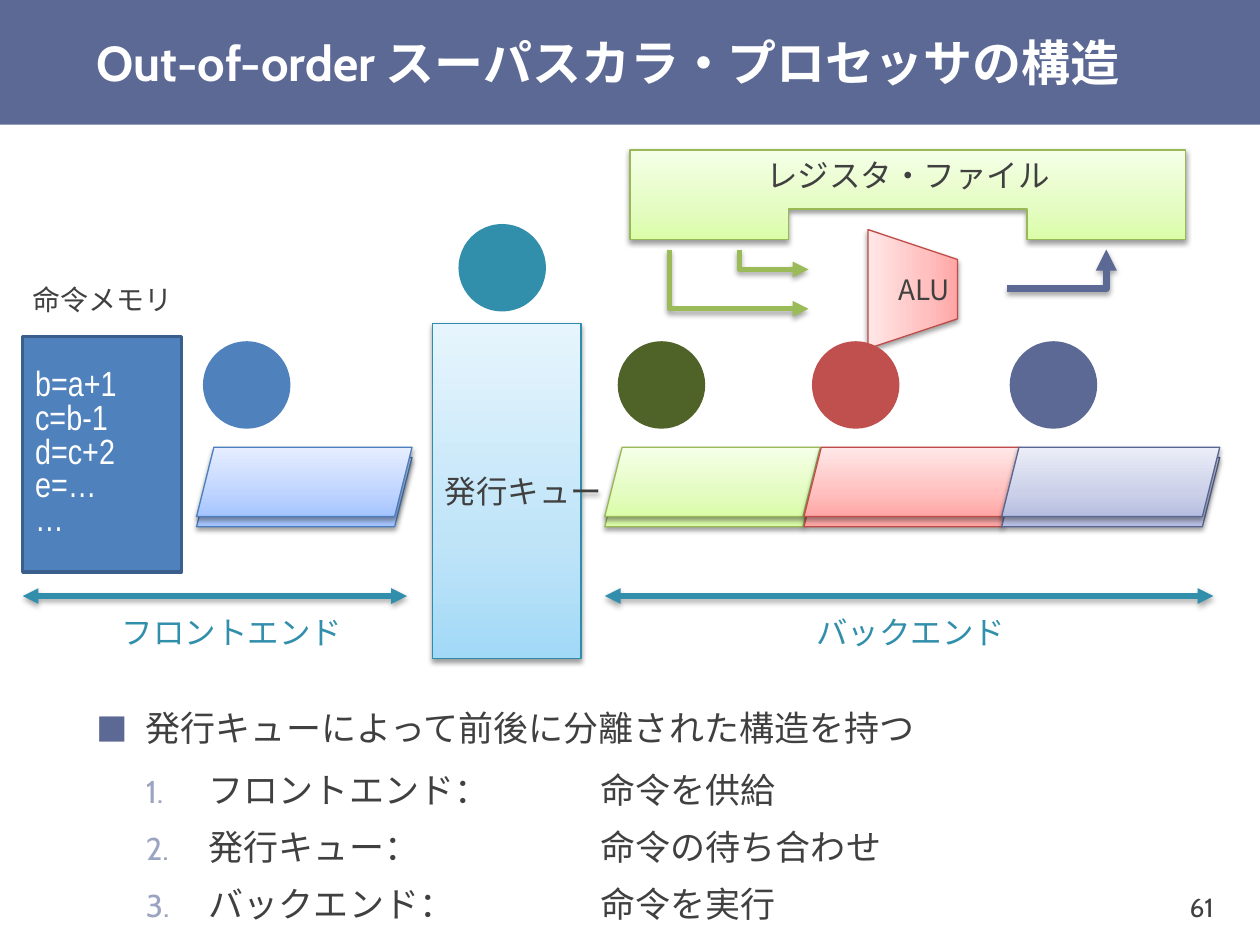
from dataclasses import dataclass

from lxml import etree
from pptx import Presentation
from pptx.dml.color import RGBColor
from pptx.enum.shapes import MSO_CONNECTOR, MSO_SHAPE
from pptx.enum.text import MSO_ANCHOR, PP_ALIGN
from pptx.oxml import parse_xml
from pptx.oxml.ns import nsdecls, qn
from pptx.util import Pt

RECT = MSO_SHAPE.RECTANGLE
SLANT = MSO_SHAPE.PARALLELOGRAM
OVAL = MSO_SHAPE.OVAL
STRAIGHT = MSO_CONNECTOR.STRAIGHT
TOP, MID = MSO_ANCHOR.TOP, MSO_ANCHOR.MIDDLE
LEFT, CENTER, RIGHT = PP_ALIGN.LEFT, PP_ALIGN.CENTER, PP_ALIGN.RIGHT

WHITE = RGBColor(0xFF, 0xFF, 0xFF)
INK = RGBColor(0x40, 0x40, 0x40)
NAVY = RGBColor(0x5C, 0x69, 0x94)
PALE = RGBColor(0x9B, 0xA4, 0xC1)
BLUE = RGBColor(0x4F, 0x81, 0xBD)
EDGE = RGBColor(0x3A, 0x5F, 0x8C)
TEAL = RGBColor(0x32, 0x8F, 0xAC)
LEAF = RGBColor(0x9B, 0xBB, 0x59)
MOSS = RGBColor(0x4F, 0x62, 0x28)
BRICK = RGBColor(0xC0, 0x50, 0x4D)

CABIN, NOTO, THIN = "Cabin", "Noto Sans CJK JP", "Arial Narrow"


@dataclass(frozen=True)
class Tone:
    stops: tuple[str, str, str]
    line: RGBColor


@dataclass(frozen=True)
class Type:
    font: str
    size: float
    tint: RGBColor
    bold: bool = False


@dataclass(frozen=True)
class Token:
    left: float
    top: float
    tint: RGBColor


@dataclass(frozen=True)
class Stage:
    left: float
    wide: float
    tone: Tone


@dataclass(frozen=True)
class Bend:
    dots: tuple[tuple[float, float], ...]
    tint: RGBColor
    width: float


@dataclass(frozen=True)
class Span:
    start: float
    end: float
    left: float
    label: str


SKY = Tone(("A4C4FF", "BFD4FF", "E6EEFF"), RGBColor(0x4B, 0x7E, 0xBC))
LIME = Tone(("DAFDA7", "E4FCC2", "F5FFE7"), RGBColor(0x98, 0xB9, 0x55))
ROSE = Tone(("FFA6A5", "FFC0BF", "FFE7E7"), RGBColor(0xBF, 0x4C, 0x48))
MAUVE = Tone(("B6BEE1", "CCD1E9", "EBEDF7"), RGBColor(0x59, 0x66, 0x92))
AQUA = Tone(("A2D9F7", "BFE4F8", "E6F5FD"), RGBColor(0x2E, 0x8D, 0xAB))

STAGES = (Stage(112.3, 123.1, SKY), Stage(345.6, 123.1, LIME),
          Stage(459.4, 123.1, ROSE), Stage(572.4, 124.6, MAUVE))
TOKENS = (Token(116, 195, BLUE), Token(353, 195, MOSS), Token(464, 195, BRICK),
          Token(577, 195, NAVY), Token(262, 128, TEAL))
BENDS = (Bend(((422.6, 142.6), (422.6, 154), (462, 154)), LEAF, 3),
         Bend(((382.6, 142.6), (382.6, 176.5), (462, 176.5)), LEAF, 3),
         Bend(((575.5, 165), (632.2, 165), (632.2, 142.6)), NAVY, 4))
SPANS = (Span(232.6, 13, 62.6, "フロントエンド"), Span(693.4, 345.6, 459.4, "バックエンド"))
BANK = ((450.7, 136.8), (450.7, 119.5), (586.8, 119.5), (586.8, 136.8),
        (677.5, 136.8), (677.5, 85.7), (360, 85.7), (360, 136.8))
ALU = ((496, 199.2), (547.2, 182.2), (547.2, 148.3), (496, 131.2))
CODE = ("b=a+1", "c=b-1", "d=c+2", "e=…", "…")
LEAD = "発行キューによって前後に分離された構造を持つ"
STEPS = ("フロントエンド：\t命令を供給", "発行キュー：\t\t命令の待ち合わせ",
         "バックエンド：\t\t命令を実行")


def add_run(para, text: str, kind: Type) -> None:
    run = para.add_run()
    run.text = text
    font = run.font
    font.name, font.size, font.bold = kind.font, Pt(kind.size), kind.bold
    font.color.rgb = kind.tint
    etree.SubElement(font._element, qn("a:ea"), typeface=kind.font)


def write(item, rows: tuple[str, ...], kind: Type, side=LEFT, anchor=MID,
          wrap: bool = False, space: float | None = None):
    frame = item.text_frame
    frame.word_wrap, frame.vertical_anchor = wrap, anchor
    for spot, text in enumerate(rows):
        para = frame.add_paragraph() if spot else frame.paragraphs[0]
        para.alignment, para.line_spacing = side, space
        add_run(para, text, kind)
    return frame


def add_box(slide, left: float, top: float, wide: float, high: float):
    return slide.shapes.add_textbox(Pt(left), Pt(top), Pt(wide), Pt(high))


def add_form(slide, kind, left: float, top: float, wide: float, high: float):
    item = slide.shapes.add_shape(kind, Pt(left), Pt(top), Pt(wide), Pt(high))
    item.shadow.inherit = False
    return item


def paint(item, tint: RGBColor) -> None:
    item.fill.solid()
    item.fill.fore_color.rgb = tint
    item.line.fill.background()


def trace(slide, dots: tuple[tuple[float, float], ...], close: bool):
    pts = [(Pt(x), Pt(y)) for x, y in dots]
    pen = slide.shapes.build_freeform(*pts[0])
    pen.add_line_segments(pts[1:], close=close)
    item = pen.convert_to_shape()
    item.shadow.inherit = False
    return item


def cast(item, alpha: int) -> None:
    props = item._element.spPr
    for old in props.findall(qn("a:effectLst")):
        props.remove(old)
    props.append(parse_xml(
        f'<a:effectLst {nsdecls("a")}><a:outerShdw blurRad="{Pt(3.1)}" '
        f'dist="{Pt(1.7)}" dir="5400000" rotWithShape="0"><a:srgbClr val="000000">'
        f'<a:alpha val="{alpha * 1000}"/></a:srgbClr></a:outerShdw></a:effectLst>'))


def shade(item, tone: Tone, angle: float = 90) -> None:
    item.fill.gradient()
    item.fill.gradient_angle = angle
    stops = item._element.spPr.find(qn("a:gradFill")).find(qn("a:gsLst"))
    stops.clear()
    for place, tint in zip((0, 35, 100), tone.stops):
        stop = etree.SubElement(stops, qn("a:gs"), pos=str(place * 1000))
        etree.SubElement(stop, qn("a:srgbClr"), val=tint)
    item.line.color.rgb, item.line.width = tone.line, Pt(0.75)
    cast(item, 38)


def point(item, tint: RGBColor, width: float, ends: tuple[str, ...]) -> None:
    item.line.color.rgb, item.line.width = tint, Pt(width)
    line = item._element.spPr.find(qn("a:ln"))
    for end in ends:
        etree.SubElement(line, qn(f"a:{end}"), type="triangle")
    cast(item, 35)


def mark(para, left: float, hang: float, tint: RGBColor,
         tag: str, **attrs: str) -> None:
    props = para._p.get_or_add_pPr()
    for key, value in (("marL", Pt(left)), ("indent", Pt(-hang)), ("defTabSz", Pt(72))):
        props.set(key, str(value))
    hue = etree.SubElement(props, qn("a:buClr"))
    etree.SubElement(hue, qn("a:srgbClr"), val=str(tint))
    etree.SubElement(props, qn("a:buSzPct"), val="90000")
    etree.SubElement(props, qn("a:buFont"), typeface=NOTO)
    etree.SubElement(props, qn(f"a:{tag}"), **attrs)


def add_list(slide) -> None:
    frame = write(add_box(slide, 48.2, 440, 652.3, 49.7), (LEAD, *STEPS),
                  Type(CABIN, 20, INK), wrap=True, space=1.1)
    head, *steps = frame.paragraphs
    head.space_after = Pt(6)
    mark(head, 28.1, 28.1, NAVY, "buChar", char="■")
    for para in steps:
        para.level = 1
        para.space_before = para.space_after = Pt(3)
        mark(para, 64.1, 36, PALE, "buAutoNum", type="arabicPeriod")


def main() -> None:
    deck = Presentation()
    deck.slide_width, deck.slide_height = Pt(720), Pt(540)
    slide = deck.slides.add_slide(deck.slide_layouts[6])

    paint(add_form(slide, RECT, 0, 0, 720, 71.3), NAVY)
    write(add_box(slide, 643.7, 496.8, 56.9, 43.2), ("61",),
          Type(CABIN, 15, INK), RIGHT)
    write(add_box(slide, 48.2, 0, 671.8, 71.3),
          ("Out-of-order スーパスカラ・プロセッサの構造",),
          Type(CABIN, 28, WHITE, True), wrap=True)
    add_list(slide)

    for stage in STAGES:
        for top in (261.4, 255.6):
            shade(add_form(slide, SLANT, stage.left, top, stage.wide, 39.6), stage.tone)

    bank = trace(slide, BANK, True)
    shade(bank, LIME)
    write(bank, ("レジスタ・ファイル",), Type(CABIN, 18, INK), CENTER, TOP, True)
    unit = trace(slide, ALU, True)
    shade(unit, ROSE, 180)
    frame = write(unit, ("ALU",), Type(NOTO, 16, INK), CENTER)
    frame.margin_left, frame.margin_right = Pt(13), Pt(0)
    for bend in BENDS:
        item = trace(slide, bend.dots, False)
        item.fill.background()
        point(item, bend.tint, bend.width, ("tailEnd",))

    queue = add_form(slide, RECT, 247, 185, 85, 191.5)
    shade(queue, AQUA)
    write(queue, ("発行キュー",), Type(NOTO, 18, INK))
    write(add_box(slide, 3.6, 149.8, 110, 42.5), ("命令メモリ",),
          Type(CABIN, 16, INK), CENTER)
    store = add_form(slide, RECT, 13, 192.2, 90.7, 134.6)
    paint(store, BLUE)
    store.line.color.rgb, store.line.width = EDGE, Pt(2)
    write(store, CODE, Type(THIN, 20, WHITE), space=0.8)

    for span in SPANS:
        line = slide.shapes.add_connector(
            STRAIGHT, Pt(span.start), Pt(340.6), Pt(span.end), Pt(340.6))
        point(line, TEAL, 3, ("headEnd", "tailEnd"))
        write(add_box(slide, span.left, 347.8, 150, 26.6), (span.label,),
              Type(THIN, 18, TEAL), wrap=True)
    for token in TOKENS:
        paint(add_form(slide, OVAL, token.left, token.top, 50, 50), token.tint)
    deck.save("out.pptx")


if __name__ == "__main__":
    main()
